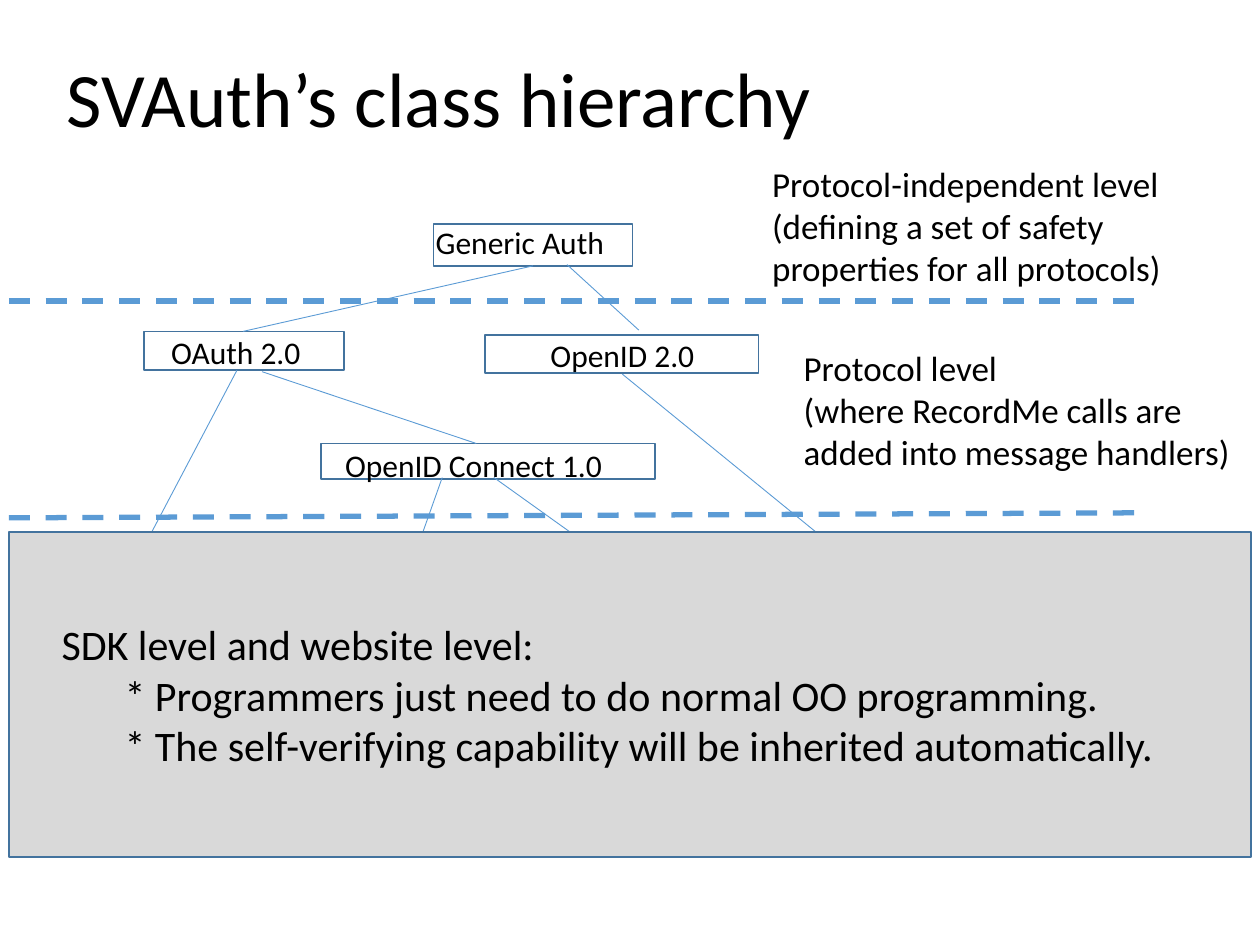
from lxml.etree import SubElement
from pptx import Presentation
from pptx.dml.color import RGBColor
from pptx.enum.dml import MSO_LINE
from pptx.enum.shapes import MSO_CONNECTOR, MSO_SHAPE
from pptx.enum.text import MSO_ANCHOR, PP_ALIGN
from pptx.oxml.ns import qn
from pptx.util import Inches, Pt

BLACK = RGBColor(0x00, 0x00, 0x00)
BORDER = RGBColor(0x43, 0x73, 0x9E)
BLUE = RGBColor(0x5B, 0x9B, 0xD5)
GRAY = RGBColor(0xD9, 0xD9, 0xD9)


class HierarchySlide:
    """Draws slide elements on a grid of 100 columns by 75 rows."""

    font = "Calibri"
    columns, rows = 100, 75

    def __init__(self, deck):
        self.slide = deck.slides.add_slide(deck.slide_layouts[6])
        self.column = deck.slide_width / self.columns
        self.row = deck.slide_height / self.rows

    def place(self, x, y):
        return round(x * self.column), round(y * self.row)

    def fill_text(self, frame, lines, size, anchor, indents=(), spacing=None):
        frame.word_wrap = True
        frame.vertical_anchor = anchor
        for index, line in enumerate(lines):
            paragraph = frame.paragraphs[0] if index == 0 else frame.add_paragraph()
            paragraph.text = line
            paragraph.alignment = PP_ALIGN.LEFT
            paragraph.line_spacing = spacing
            paragraph.font.name = self.font
            paragraph.font.size = Pt(size)
            paragraph.font.color.rgb = BLACK
            if indents:
                properties = paragraph._p.get_or_add_pPr()
                properties.set("marL", str(round(indents[index] * self.column)))
                properties.set("indent", "0")

    def text(self, x, y, width, height, lines, size,
             anchor=MSO_ANCHOR.TOP, spacing=None):
        area = self.slide.shapes.add_textbox(
            *self.place(x, y), *self.place(width, height))
        self.fill_text(area.text_frame, lines, size, anchor, spacing=spacing)

    def box(self, x, y, width, height, fill=None):
        outline = self.slide.shapes.add_shape(
            MSO_SHAPE.RECTANGLE, *self.place(x, y), *self.place(width, height))
        outline.shadow.inherit = False
        outline.line.color.rgb = BORDER
        outline.line.width = Pt(1)
        if fill is None:
            outline.fill.background()
        else:
            outline.fill.solid()
            outline.fill.fore_color.rgb = fill
        return outline

    def class_box(self, name, bounds, label_bounds):
        self.box(*bounds)
        self.text(*label_bounds, [name], 18)

    def panel(self, x, y, width, height, lines, size, indents):
        area = self.box(x, y, width, height, GRAY)
        self.fill_text(area.text_frame, lines, size, MSO_ANCHOR.MIDDLE, indents)

    def line(self, start, end, width=0.5, dash=None):
        link = self.slide.shapes.add_connector(
            MSO_CONNECTOR.STRAIGHT, *self.place(*start), *self.place(*end))
        link.line.color.rgb = BLUE
        link.line.width = Pt(width)
        link.line.dash_style = dash
        SubElement(link._element.spPr, qn("a:effectLst"))


deck = Presentation()
deck.slide_width, deck.slide_height = Inches(10), Inches(7.5)
hierarchy = HierarchySlide(deck)

hierarchy.text(4.3, 4, 88.8, 8.3, ["SVAuth’s class hierarchy"], 44,
               MSO_ANCHOR.MIDDLE, 0.9)

classes = [
    ("Generic Auth", (34.4, 17.8, 15.8, 3.3), (33.6, 17.2, 15.8, 4)),
    ("OpenID 2.0", (38.5, 26.6, 21.7, 3), (42.7, 26.2, 15.9, 4)),
    ("OAuth 2.0", (11.4, 26.3, 15.9, 3.1), (12.6, 25.9, 16.8, 4)),
    ("OpenID Connect 1.0", (25.5, 35.2, 26.5, 2.8), (26.4, 34.9, 25.9, 4)),
]
for name, bounds, label_bounds in classes:
    hierarchy.class_box(name, bounds, label_bounds)

inheritance = [
    ((20.8, 29.5), (37.8, 35.2)),
    ((42.3, 21.1), (19.3, 26.3)),
    ((39.2, 37.9), (48, 44.2)),
    ((49.4, 29.7), (67.3, 44.3)),
    ((10.9, 44.4), (18.8, 29.4)),
    ((50.7, 26.2), (45, 21)),
    ((35.1, 37.9), (32.9, 44.1)),
]
for start, end in inheritance:
    hierarchy.line(start, end)

for left_row, right_row in [(23.9, 23.9), (41.1, 40.7)]:
    hierarchy.line((0.7, left_row), (90.8, right_row), 3, MSO_LINE.DASH)

levels = [
    (60.3, 12.4, 37.7, "Protocol-independent level",
     "(defining a set of safety properties for all protocols)"),
    (62.8, 27, 37.9, "Protocol level",
     "(where RecordMe calls are added into message handlers)"),
]
for x, y, width, *lines in levels:
    hierarchy.text(x, y, width, 11.1, lines, 20)

hierarchy.panel(0.7, 42.2, 98.6, 25.8, [
    "SDK level and website level:",
    "* Programmers just need to do normal OO programming.",
    "* The self-verifying capability will be inherited automatically.",
], 24, (3.2, 8.2, 8.2))

deck.save("out.pptx")
